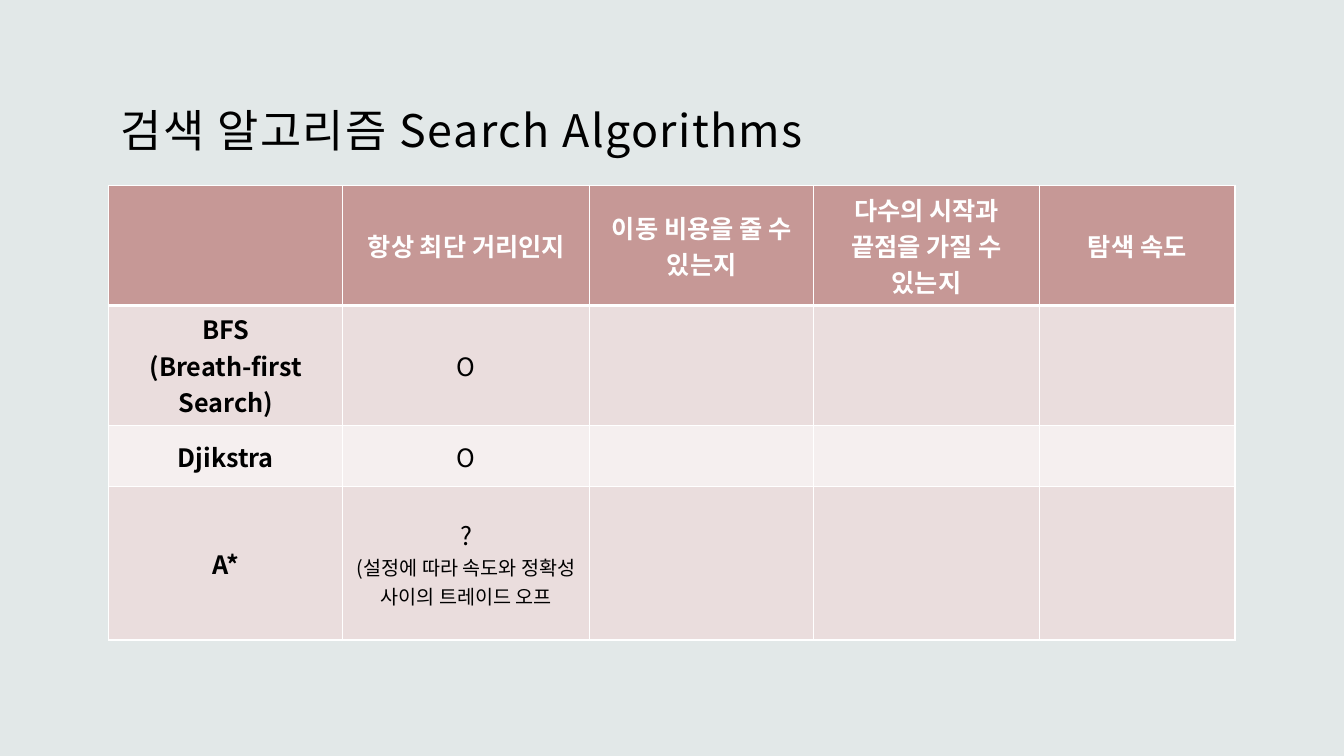
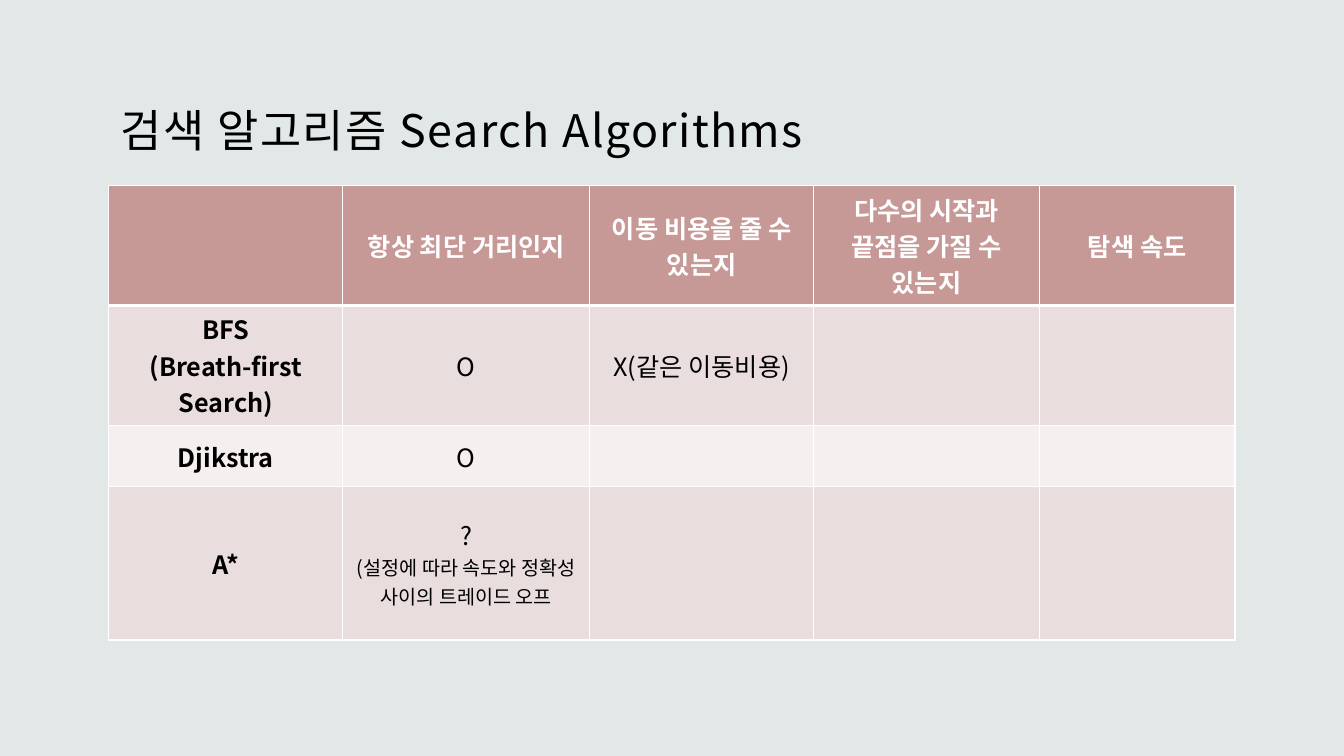
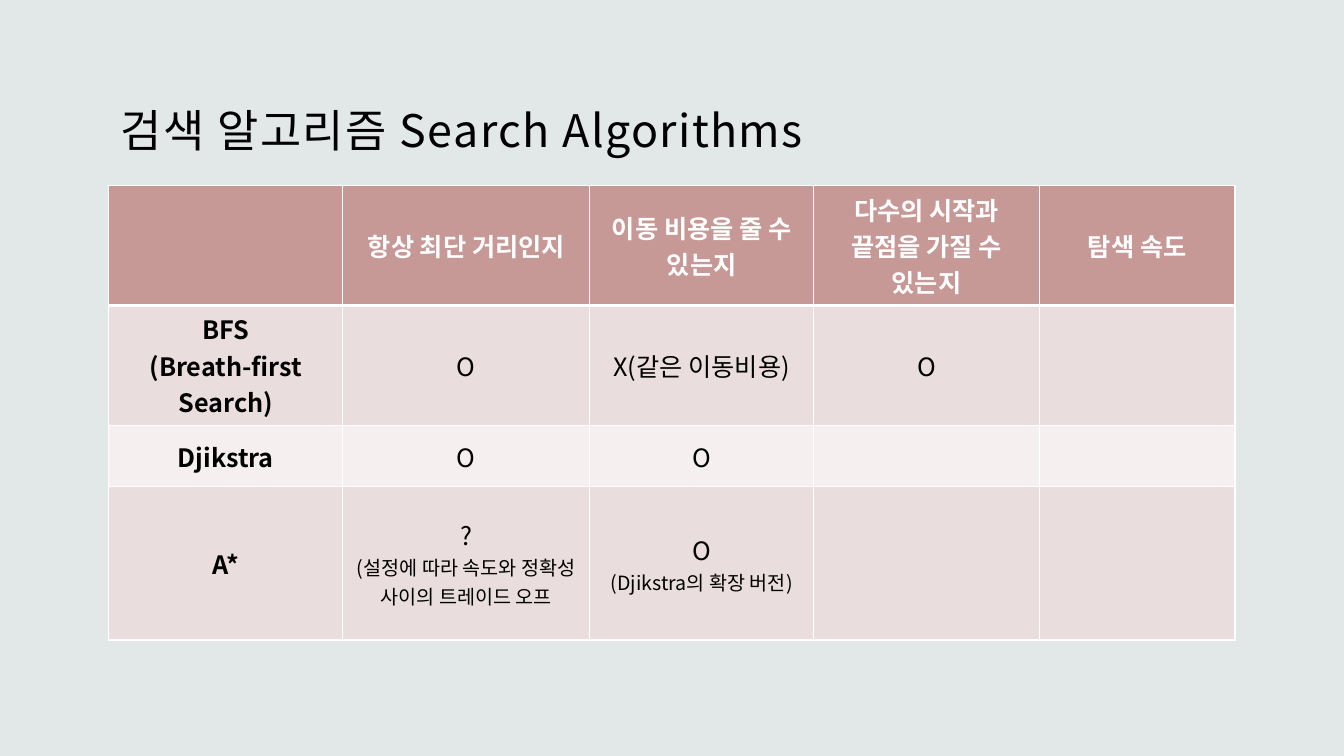
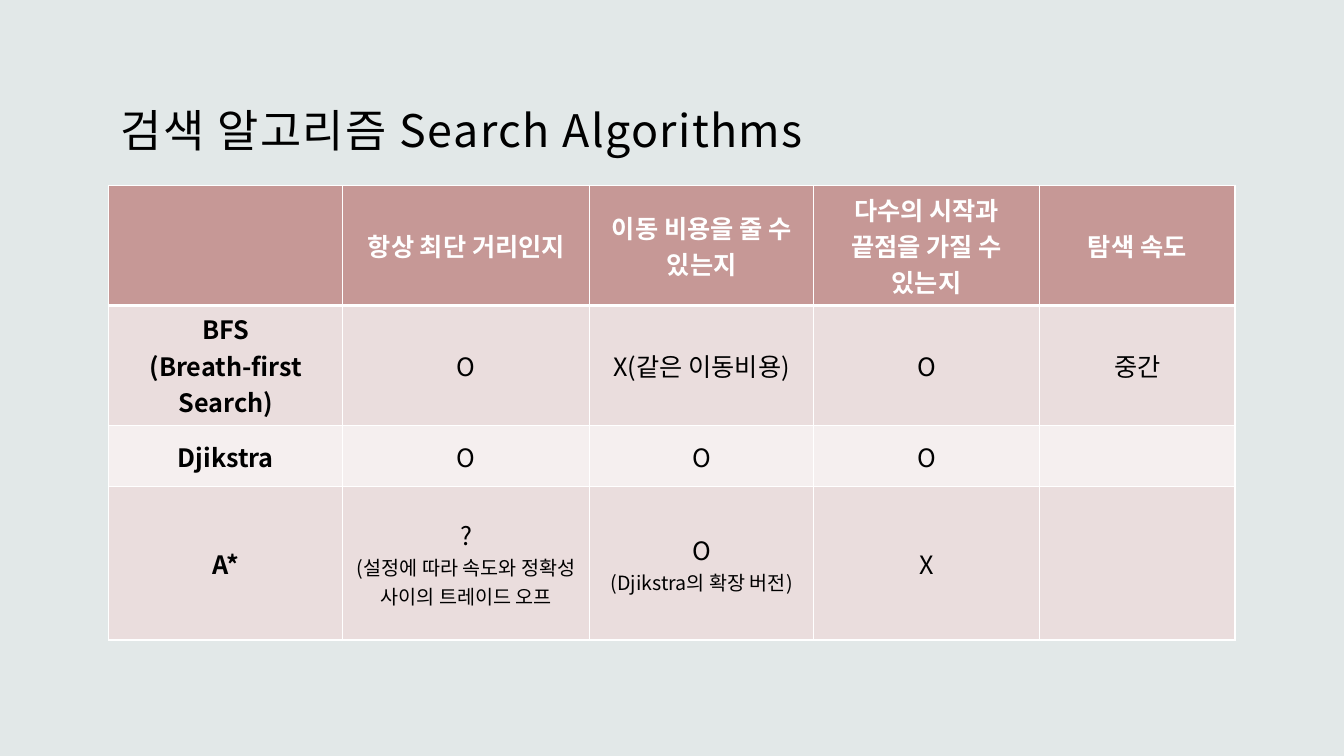
from dataclasses import dataclass

from lxml.etree import SubElement
from pptx import Presentation
from pptx.dml.color import RGBColor
from pptx.enum.text import MSO_ANCHOR as Anchor, PP_ALIGN as Align
from pptx.oxml.ns import qn
from pptx.util import Inches, Pt


@dataclass(frozen=True)
class Theme:
    font: str = "Noto Sans CJK KR"
    background: str = "E2E8E8"
    ink: str = "000000"
    white: str = "FFFFFF"
    header: str = "C69896"
    bands: tuple = ("F5EFEF", "EADDDD")
    title_size: int = 32
    body_size: int = 18
    note_size: int = 14
    grid_line: float = 1
    header_line: float = 3


TITLE = "검색 알고리즘 Search Algorithms"
LEFT, WIDTH = 1.08, 11.17
COLUMN_WIDTHS = [2.32, 2.45, 2.22, 2.24, 1.94]
ROW_HEIGHTS = [1.19, 1.19, 0.61, 1.52]

COMPARISON = [
    ["", "항상 최단 거리인지", "이동 비용을 줄 수 있는지", "다수의 시작과 끝점을 가질 수 있는지", "탐색 속도"],
    ["BFS\n(Breath-first Search)", "O", "X(같은 이동비용)", "O", "중간"],
    ["Djikstra", "O", "O", "O", ""],
    ["A*", "?\n(설정에 따라 속도와 정확성 사이의 트레이드 오프", "O\n(Djikstra의 확장 버전)", "X", ""],
]
# Answers shown in each algorithm row, counted from the left, slide by slide
REVEALED = [(1, 1, 1), (2, 1, 1), (3, 2, 2), (4, 3, 3)]


class Slides:
    def __init__(self, theme):
        self.theme = theme
        self.deck = Presentation()
        self.deck.slide_width, self.deck.slide_height = Inches(13.33), Inches(7.5)
        fill = self.deck.slide_master.background.fill
        fill.solid()
        fill.fore_color.rgb = RGBColor.from_string(theme.background)
        self.page = None

    def new_page(self):
        self.page = self.deck.slides.add_slide(self.deck.slide_layouts[6])

    def style(self, para, size, color, bold=False):
        """Set the paragraph's font for Latin and Korean text, without pair kerning."""
        font = para.font
        font.name, font.size, font.bold = self.theme.font, Pt(size), bold
        font.color.rgb = RGBColor.from_string(color)
        defaults = para._p.pPr.find(qn("a:defRPr"))
        defaults.set("kern", "0")
        SubElement(defaults, qn("a:ea"), typeface=self.theme.font)

    def title(self, text):
        box = self.page.shapes.add_textbox(Inches(LEFT), Inches(0.43), Inches(WIDTH), Inches(1.22))
        frame = box.text_frame
        frame.word_wrap = True
        frame.vertical_anchor = Anchor.BOTTOM
        frame.margin_left = frame.margin_right = frame.margin_top = Inches(0.12)
        frame.margin_bottom = Inches(0.1)
        para = frame.paragraphs[0]
        span = para.add_run()
        span.text = text
        span._r.get_or_add_rPr().set("spc", "100")
        self.style(para, self.theme.title_size, self.theme.ink)

    def borders(self, cell, row):
        theme = self.theme
        for side in ("lnL", "lnR", "lnT", "lnB"):
            width = theme.header_line if row == 0 and side == "lnB" else theme.grid_line
            line = SubElement(cell._tc.get_or_add_tcPr(), qn(f"a:{side}"), w=str(Pt(width)))
            SubElement(SubElement(line, qn("a:solidFill")), qn("a:srgbClr"), val=theme.white)

    def cell(self, cell, text, row, column):
        theme = self.theme
        self.borders(cell, row)
        cell.fill.solid()
        cell.fill.fore_color.rgb = RGBColor.from_string(theme.bands[row % 2] if row else theme.header)
        cell.vertical_anchor = Anchor.MIDDLE
        cell.text = text
        heading = row == 0 or column == 0
        for index, para in enumerate(cell.text_frame.paragraphs):
            para.alignment = Align.CENTER
            size = theme.note_size if index and not heading else theme.body_size
            self.style(para, size, theme.ink if row else theme.white, heading)

    def table(self, rows):
        table = self.page.shapes.add_table(
            len(rows), len(rows[0]), Inches(LEFT), Inches(1.84),
            Inches(WIDTH), Inches(sum(ROW_HEIGHTS))).table
        table.first_row = table.horz_banding = False
        for column, width in zip(table.columns, COLUMN_WIDTHS):
            column.width = Inches(width)
        for line, height in zip(table.rows, ROW_HEIGHTS):
            line.height = Inches(height)
        for row, texts in enumerate(rows):
            for column, text in enumerate(texts):
                self.cell(table.cell(row, column), text, row, column)


def revealed_rows(counts):
    """Blank out the answers that are not shown yet."""
    header, *body = COMPARISON
    return [header] + [
        [text if column <= count else "" for column, text in enumerate(texts)]
        for texts, count in zip(body, counts)
    ]


def main():
    slides = Slides(Theme())
    for counts in REVEALED:
        slides.new_page()
        slides.title(TITLE)
        slides.table(revealed_rows(counts))
    slides.deck.save("out.pptx")


if __name__ == "__main__":
    main()
